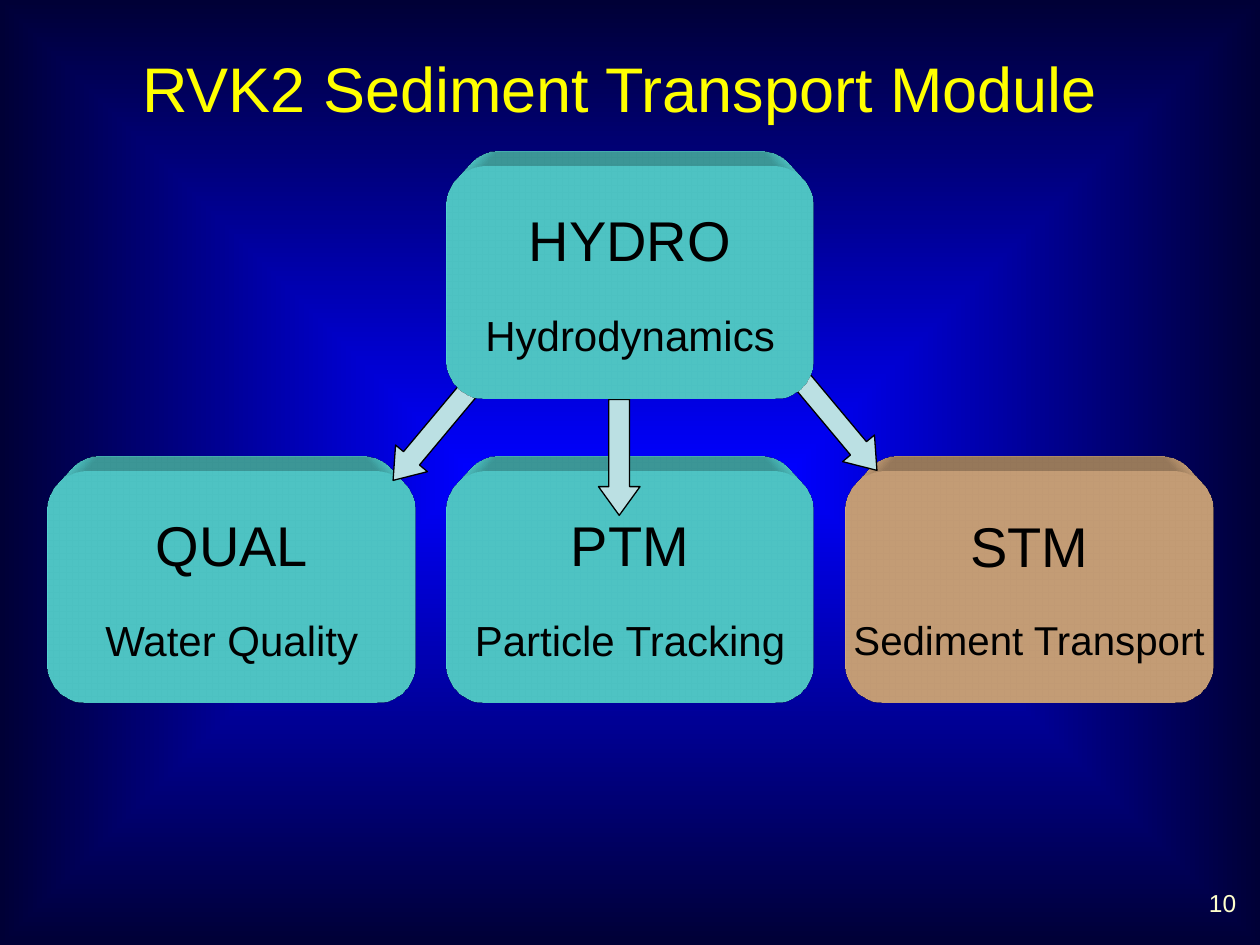
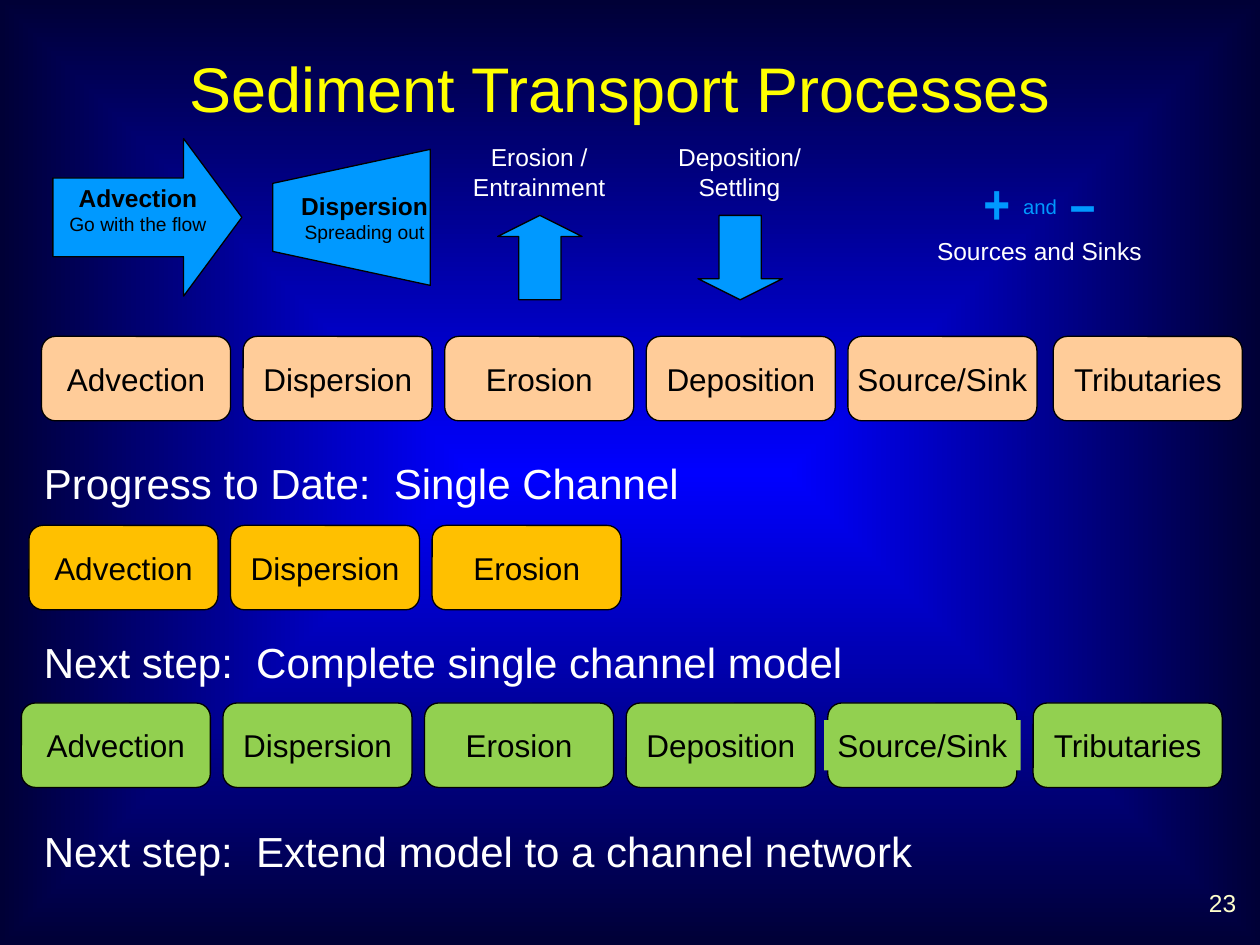
"""Build two slides on a sediment transport module and its processes."""
from dataclasses import dataclass

from lxml.etree import SubElement
from pptx import Presentation
from pptx.dml.color import RGBColor
from pptx.enum.shapes import MSO_SHAPE
from pptx.enum.text import MSO_ANCHOR, PP_ALIGN
from pptx.oxml import parse_xml
from pptx.oxml.ns import nsdecls, qn
from pptx.util import Inches, Pt


@dataclass(frozen=True)
class Theme:
    font: str = "Arial"
    narrow: str = "Arial Narrow"
    centre: str = "0000FF"
    edge: str = "000036"
    title: str = "FFFF00"
    number: str = "FFFFCC"
    dark: str = "000000"
    light: str = "FFFFFF"
    aqua: str = "66FFFF"
    peach: str = "FFCC99"
    pale: str = "BBE0E3"
    blue: str = "0099FF"
    gold: str = "FFC000"
    green: str = "92D050"
    title_size: int = 36
    module_size: int = 32
    heading_size: int = 24
    chip_size: int = 18
    caption_size: int = 14
    note_size: int = 11


THEME = Theme()

MODULES = [
    ("PTM", "Particle Tracking", 24, (3.54, 3.75), THEME.aqua),
    ("QUAL", "Water Quality", 24, (0.38, 3.75), THEME.aqua),
    ("STM", "Sediment Transport", 23, (6.71, 3.75), THEME.peach),
    ("HYDRO", "Hydrodynamics", 24, (3.54, 1.33), THEME.aqua),
]
MODULE_SIZE = (2.92, 1.83)
FLOW_ARROWS = {
    "PTM": (4.75, 3.17, 0),
    "QUAL": (3.25, 3, 39.9),
    "STM": (6.5, 2.92, 320.1),
}

LABEL_WIDTHS = {
    "Advection": 1.3,
    "Dispersion": 1.38,
    "Erosion": 1.05,
    "Deposition": 1.38,
    "Source/Sink": 1.56,
    "Tributaries": 1.39,
}
PROCESSES = list(LABEL_WIDTHS)
CHIP_STEPS = (0, 1.6, 3.2, 4.8, 6.4, 8.03)
CHIP_SIZE = (1.5, 0.67)
LABEL_HEIGHT = 0.4
CHIP_ROWS = [
    (0.33, 2.67, PROCESSES, THEME.peach, False),
    (0.23, 4.17, PROCESSES[:3], THEME.gold, True),
    (0.17, 5.58, PROCESSES, THEME.green, True),
]
HEADINGS = [
    ("Progress to Date:  Single Channel", 3.58, 5.29),
    ("Next step:  Complete single channel model", 5, 6.61),
    ("Next step:  Extend model to a channel network", 6.5, 7.16),
]
BED_EXCHANGES = [
    (("Erosion /", "Entrainment"), 3.58, MSO_SHAPE.UP_ARROW),
    (("Deposition/", "Settling"), 5.17, MSO_SHAPE.DOWN_ARROW),
]


def run(text, size, color=THEME.dark, raised=0, **formats):
    return {"text": text, "color": color, "raised": raised,
            "formats": {"name": THEME.font, "size": Pt(size), "bold": False} | formats}


def write(box, lines, align=PP_ALIGN.CENTER, gap=0, **frame_formats):
    frame = box.text_frame
    for name, value in ({"word_wrap": True} | frame_formats).items():
        setattr(frame, name, value)
    for index, line in enumerate(lines):
        para = frame.add_paragraph() if index else frame.paragraphs[0]
        para.alignment = align
        para.space_before = Pt(gap if index else 0)
        for part in line:
            span = para.add_run()
            span.text = part["text"]
            for name, value in part["formats"].items():
                setattr(span.font, name, value)
            span.font.color.rgb = RGBColor.from_string(part["color"])
            if part["raised"]:
                span.font._element.set("baseline", str(part["raised"] * 1000))


def add_text(page, area, lines, **formats):
    box = page.shapes.add_textbox(*map(Inches, area))
    write(box, lines, **formats)
    return box


def add_figure(page, kind, area, fill, outlined=True, adjust=(), rotation=0):
    figure = page.shapes.add_shape(kind, *map(Inches, area))
    figure.shadow.inherit = False
    figure.fill.solid()
    figure.fill.fore_color.rgb = RGBColor.from_string(fill)
    if outlined:
        figure.line.color.rgb = RGBColor.from_string(THEME.dark)
        figure.line.width = Pt(0.75)
    else:
        figure.line.fill.background()
    for index, value in enumerate(adjust):
        figure.adjustments[index] = value
    figure.rotation = rotation
    return figure


def extrude(figure, color):
    properties = figure._element.spPr
    for xml in (
        f'<a:scene3d {nsdecls("a")}><a:camera prst="legacyPerspectiveTop"/>'
        '<a:lightRig rig="legacyFlat3" dir="b"/></a:scene3d>',
        f'<a:sp3d {nsdecls("a")} extrusionH="887400" prstMaterial="legacyMatte">'
        f'<a:extrusionClr><a:srgbClr val="{color}"/></a:extrusionClr></a:sp3d>',
    ):
        properties.append(parse_xml(xml))


def paint_background(master):
    fill = master.background.fill
    fill.gradient()
    for stop, color in zip(fill.gradient_stops, (THEME.centre, THEME.edge)):
        stop.color.rgb = RGBColor.from_string(color)
    gradient = master.element.find(".//" + qn("a:gradFill"))
    gradient.remove(gradient.find(qn("a:lin")))
    shade = SubElement(gradient, qn("a:path"), path="shape")
    SubElement(shade, qn("a:fillToRect"), dict.fromkeys("ltrb", "50000"))


def add_page(deck, title, number):
    page = deck.slides.add_slide(deck.slide_layouts[6])
    add_text(page, (7.58, 7, 2.33, 0.42),
             [[run(number, THEME.caption_size, THEME.number)]], align=PP_ALIGN.RIGHT)
    add_text(page, (0.42, 0.25, 9, 0.88), [[run(title, THEME.title_size, THEME.title)]],
             vertical_anchor=MSO_ANCHOR.MIDDLE)
    return page


def build_modules(page):
    for name, subject, subject_size, corner, color in MODULES:
        module = add_figure(page, MSO_SHAPE.ROUNDED_RECTANGLE, corner + MODULE_SIZE,
                            color, outlined=False)
        extrude(module, color)
        write(module, [[run(name, THEME.module_size)], [run(subject, subject_size)]],
              gap=21, word_wrap=False, vertical_anchor=MSO_ANCHOR.MIDDLE)
        if name in FLOW_ARROWS:
            left, top, rotation = FLOW_ARROWS[name]
            add_figure(page, MSO_SHAPE.DOWN_ARROW, (left, top, 0.33, 0.92), THEME.pale,
                       adjust=(0.5, 0.69), rotation=rotation)


def build_process_icons(page):
    advection, dispersion = (
        [[run(name, THEME.caption_size, bold=True)], [run(note, THEME.note_size)]]
        for name, note in (("Advection", "Go with the flow"), ("Dispersion", "Spreading out")))
    add_figure(page, MSO_SHAPE.RIGHT_ARROW, (0.42, 1.1, 1.5, 1.25), THEME.blue,
               adjust=(0.5, 0.37))
    add_text(page, (0.42, 1.4, 1.35, 0.52), advection)

    spread = add_figure(page, MSO_SHAPE.TRAPEZOID, (2.25, 1.1, 1.08, 1.25), THEME.blue,
                        rotation=270)
    margins = {f"margin_{side}": 0 for side in ("left", "top", "right", "bottom")}
    write(spread, dispersion, vertical_anchor=MSO_ANCHOR.MIDDLE, **margins)
    spread.text_frame._txBody.bodyPr.set("vert", "vert")

    for caption, left, arrow in BED_EXCHANGES:
        add_figure(page, arrow, (left + 0.37, 1.71, 0.67, 0.67), THEME.blue,
                   adjust=(0.5, 0.25))
        add_text(page, (left, 1.08, 1.4, 0.57),
                 [[run(line, THEME.caption_size, THEME.light)] for line in caption])

    sign = {"size": THEME.module_size, "color": THEME.blue, "name": THEME.narrow}
    add_text(page, (7.33, 1.29, 1.84, 0.88), [
        [run("+ ", bold=True, **sign), run("and", 20, THEME.blue, raised=30),
         run(" ", **sign), run("–", bold=True, **sign)],
        [run("Sources and Sinks", THEME.caption_size, THEME.light)],
    ], word_wrap=False)


def build_chips(page):
    width, height = CHIP_SIZE
    for start, top, names, color, filled in CHIP_ROWS:
        for step, name in zip(CHIP_STEPS, names):
            left = start + step
            add_figure(page, MSO_SHAPE.ROUNDED_RECTANGLE, (left, top, width, height), color)
            label_width = LABEL_WIDTHS[name]
            label = add_text(
                page, (left + (width - label_width) / 2, top + (height - LABEL_HEIGHT) / 2,
                       label_width, LABEL_HEIGHT),
                [[run(name, THEME.chip_size)]], word_wrap=False)
            if filled:
                label.fill.solid()
                label.fill.fore_color.rgb = RGBColor.from_string(color)


def build_headings(page):
    for text, top, width in HEADINGS:
        add_text(page, (0.25, top, width, 0.5),
                 [[run(text, THEME.heading_size, THEME.light)]],
                 align=PP_ALIGN.LEFT, word_wrap=False)


def main():
    deck = Presentation()
    deck.slide_width, deck.slide_height = Inches(10), Inches(7.5)
    paint_background(deck.slide_master)
    build_modules(add_page(deck, "RVK2 Sediment Transport Module", "10"))
    processes = add_page(deck, "Sediment Transport Processes", "23")
    for build in (build_process_icons, build_chips, build_headings):
        build(processes)
    deck.save("out.pptx")


if __name__ == "__main__":
    main()
